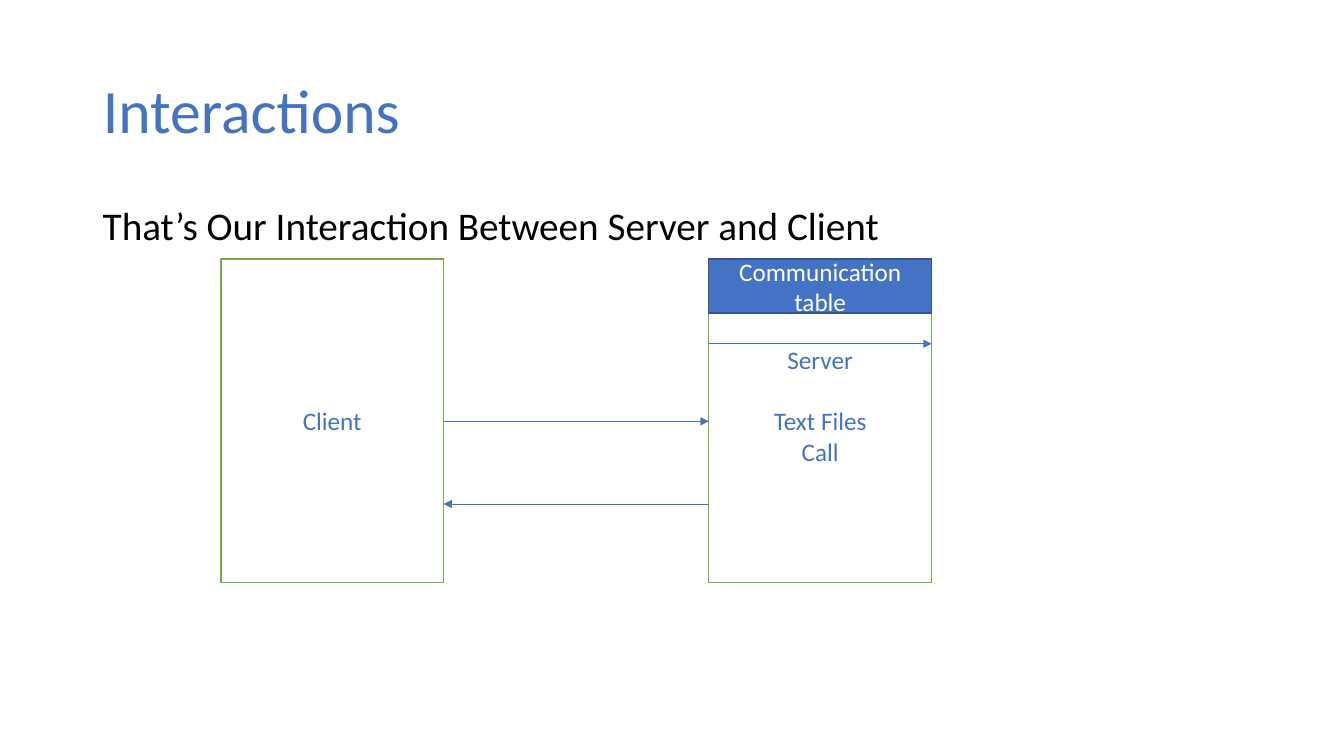
from lxml import etree
from pptx import Presentation
from pptx.dml.color import RGBColor
from pptx.enum.shapes import MSO_CONNECTOR, MSO_SHAPE
from pptx.enum.text import MSO_ANCHOR, MSO_AUTO_SIZE, PP_ALIGN
from pptx.oxml.ns import qn
from pptx.util import Inches, Pt

RECT, STRAIGHT = MSO_SHAPE.RECTANGLE, MSO_CONNECTOR.STRAIGHT
TOP, MIDDLE = MSO_ANCHOR.TOP, MSO_ANCHOR.MIDDLE
LEFT, CENTER = PP_ALIGN.LEFT, PP_ALIGN.CENTER
NO_FIT = MSO_AUTO_SIZE.NONE

BLUE = RGBColor(0x44, 0x72, 0xC4)
NAVY = RGBColor(0x32, 0x54, 0x91)
GREEN = RGBColor(0x70, 0xAD, 0x47)
WHITE = RGBColor(0xFF, 0xFF, 0xFF)
BLACK = RGBColor(0, 0, 0)
FONT = "Calibri"

TITLE = "Interactions"
INTRO = "That’s Our Interaction Between Server and Client"
CLIENT = ["Client"]
SERVER = ["Server", "Text Files", "Call"]
TABLE = ["Communication table"]

SLIDE_W, SLIDE_H = 13.33, 7.5
MARGIN = 0.92
TEXT_W = SLIDE_W - 2 * MARGIN
BOX_W, BOX_H, BOX_TOP = 2.21, 3.21, 2.57
CLIENT_X, SERVER_X = 2.19, 7.03
CLIENT_END, SERVER_END = CLIENT_X + BOX_W, SERVER_X + BOX_W
TABLE_H = BOX_H / 6
LINE_PT = 22

BOXES = [
    (CLIENT, CLIENT_X, BOX_H, WHITE, GREEN, BLUE, 0),
    (SERVER, SERVER_X, BOX_H, WHITE, GREEN, BLUE, LINE_PT),
    (TABLE, SERVER_X, TABLE_H, BLUE, NAVY, WHITE, 0),
]
ARROWS = [
    (CLIENT_END, SERVER_X, 4.18),
    (SERVER_X, CLIENT_END, 5),
    (SERVER_X, SERVER_END, 3.41),
]


def write(tf, lines, size=18, color=BLUE, align=CENTER, anchor=MIDDLE,
          spacing=1.0, gap=0):
    tf.word_wrap = True
    tf.auto_size = NO_FIT
    tf.vertical_anchor = anchor
    tf.margin_bottom = Inches(0.05) + Pt(gap)
    for i, line in enumerate(lines):
        p = tf.add_paragraph() if i else tf.paragraphs[0]
        p.alignment = align
        p.line_spacing = spacing
        p.space_before = Pt(gap if i == 1 else 0)
        r = p.add_run()
        r.text = line
        r.font.name = FONT
        r.font.size = Pt(size)
        r.font.color.rgb = color


def add_box(s, lines, x, h, fill, line, color, gap):
    sp = s.shapes.add_shape(RECT, Inches(x), Inches(BOX_TOP),
                            Inches(BOX_W), Inches(h))
    sp.shadow.inherit = False
    sp.fill.solid()
    sp.fill.fore_color.rgb = fill
    sp.line.color.rgb = line
    sp.line.width = Pt(1)
    write(sp.text_frame, lines, color=color, gap=gap)


def add_arrow(s, x1, x2, y):
    c = s.shapes.add_connector(STRAIGHT, Inches(x1), Inches(y),
                               Inches(x2), Inches(y))
    c.line.color.rgb = BLUE
    c.line.width = Pt(0.5)
    etree.SubElement(c.line._get_or_add_ln(), qn("a:tailEnd"), type="triangle")
    etree.SubElement(c._element.spPr, qn("a:effectLst"))


def main():
    prs = Presentation()
    prs.slide_width, prs.slide_height = Inches(SLIDE_W), Inches(SLIDE_H)
    s = prs.slides.add_slide(prs.slide_layouts[5])

    title = s.shapes.title
    title.left, title.top = Inches(MARGIN), Inches(0.4)
    title.width, title.height = Inches(TEXT_W), Inches(1.45)
    write(title.text_frame, [TITLE], size=44, align=LEFT, spacing=0.9)

    intro = s.shapes.add_textbox(Inches(MARGIN), Inches(2),
                                 Inches(TEXT_W), Inches(4.76))
    write(intro.text_frame, [INTRO], size=28, color=BLACK, align=LEFT,
          anchor=TOP, spacing=0.9)

    for box in BOXES:
        add_box(s, *box)
    for arrow in ARROWS:
        add_arrow(s, *arrow)
    prs.save("out.pptx")


if __name__ == "__main__":
    main()
